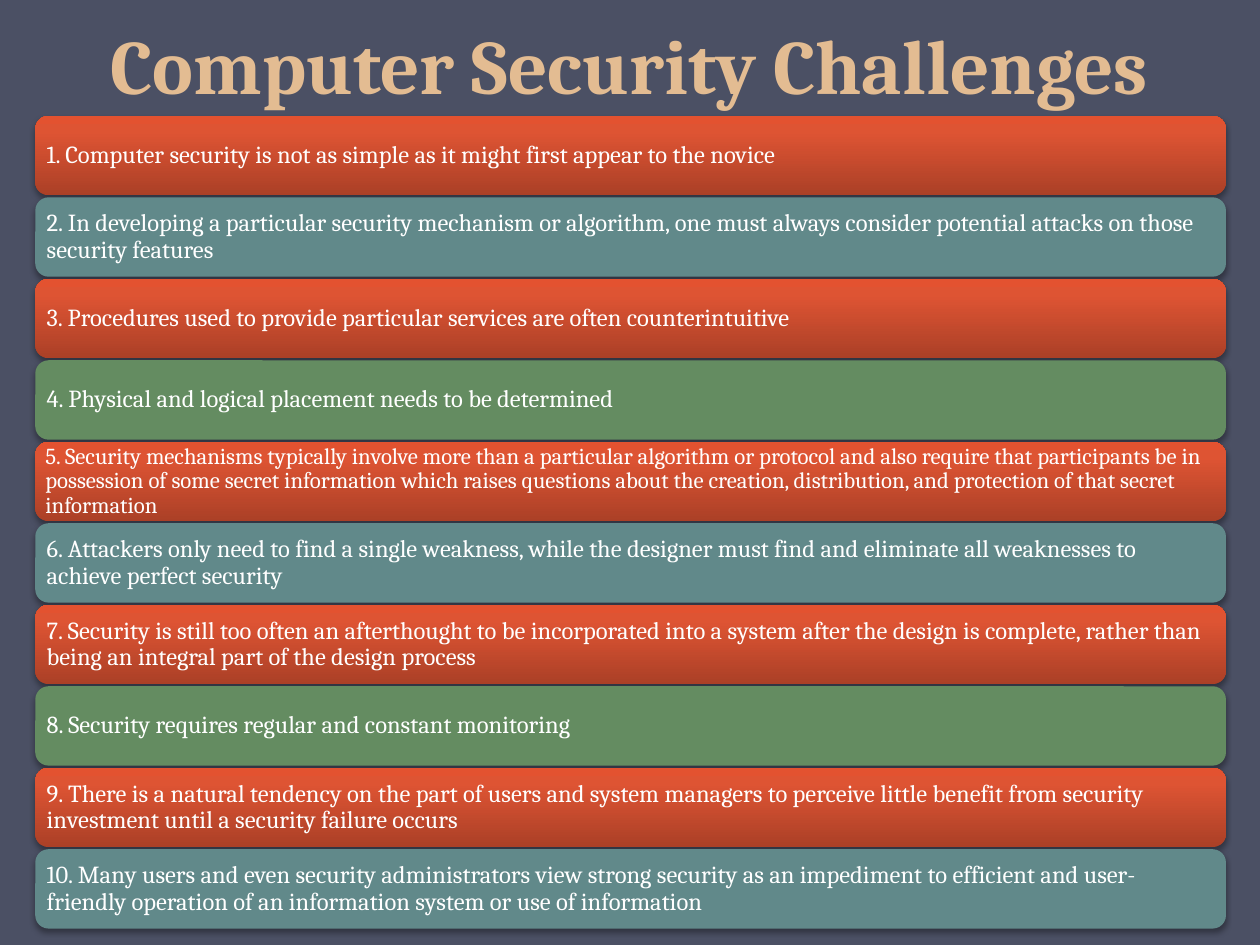
from copy import deepcopy

from lxml.etree import SubElement
from pptx import Presentation
from pptx.dml.color import RGBColor
from pptx.enum.shapes import MSO_SHAPE as SHAPE
from pptx.enum.text import MSO_ANCHOR as ANCHOR, PP_ALIGN as ALIGN
from pptx.oxml.ns import qn
from pptx.util import Inches, Pt

# Content
TITLE = "Computer Security Challenges"
CHALLENGES = [
    "Computer security is not as simple as it might first appear to the novice",
    "In developing a particular security mechanism or algorithm, one must always "
    "consider potential attacks on those security features",
    "Procedures used to provide particular services are often counterintuitive",
    "Physical and logical placement needs to be determined",
    "Security mechanisms typically involve more than a particular algorithm or "
    "protocol and also require that participants be in possession of some secret "
    "information which raises questions about the creation, distribution, and "
    "protection of that secret information",
    "Attackers only need to find a single weakness, while the designer must find "
    "and eliminate all weaknesses to achieve perfect security",
    "Security is still too often an afterthought to be incorporated into a system "
    "after the design is complete, rather than being an integral part of the design "
    "process",
    "Security requires regular and constant monitoring",
    "There is a natural tendency on the part of users and system managers to "
    "perceive little benefit from security investment until a security failure occurs",
    "Many users and even security administrators view strong security as an "
    "impediment to efficient and user-friendly operation of an information system "
    "or use of information",
]

# Style and layout
FONT = "Cambria"
RED_STOPS = [(0, "AB4027"), (0.8, "DE5433"), (1, "E35230")]
TEAL, GREEN = "61898A", "648C61"
BAR_FILLS = [RED_STOPS, TEAL, RED_STOPS, GREEN]
BAR_LEFT, BAR_TOP, BAR_WIDTH, BAR_HEIGHT = 0.28, 0.92, 9.45, 0.63
LAST_BAR_TOP = 6.74
LONG_TEXT = 200


def rgb(value):
    return RGBColor.from_string(value)


def set_margins(frame, inset):
    frame.margin_left = frame.margin_right = Inches(inset)
    frame.margin_top = frame.margin_bottom = Inches(inset)


def style_font(font, size, color, bold=False):
    font.name, font.size, font.bold = FONT, Pt(size), bold
    font.color.rgb = rgb(color)


def add_color(parent, color):
    fill = SubElement(parent, qn("a:solidFill")) if parent.tag == qn("a:ln") else parent
    return SubElement(fill, qn("a:srgbClr"), val=color)


def fill_bar(bar, paint):
    if isinstance(paint, str):
        bar.fill.solid()
        bar.fill.fore_color.rgb = rgb(paint)
        return
    bar.fill.gradient()
    bar.fill.gradient_angle = 90
    stop_list = bar.element.spPr.find(".//" + qn("a:gsLst"))
    stop_list.append(deepcopy(stop_list[0]))  # third stop
    for stop, (position, color) in zip(bar.fill.gradient_stops, paint):
        stop.position = position
        stop.color.rgb = rgb(color)


def add_shadow(bar):
    bar.shadow.inherit = False
    effects = bar.element.spPr.find(qn("a:effectLst"))
    shadow = SubElement(effects, qn("a:outerShdw"), blurRad=str(Pt(3.1)),
                        dist=str(Pt(1.8)), dir="5400000", rotWithShape="0")
    SubElement(add_color(shadow, "000000"), qn("a:alpha"), val="35000")


deck = Presentation()
deck.slide_width, deck.slide_height = Inches(10), Inches(7.5)
page = deck.slides.add_slide(deck.slide_layouts[6])
page.background.fill.solid()
page.background.fill.fore_color.rgb = rgb("4B5064")

# Title with a thin outline
box = page.shapes.add_textbox(Inches(0.5), Inches(0), Inches(9), Inches(0.92))
frame = box.text_frame
frame.word_wrap = True
frame.vertical_anchor = ANCHOR.BOTTOM
para = frame.paragraphs[0]
para.alignment, para.line_spacing = ALIGN.CENTER, Pt(58)
span = para.add_run()
span.text = TITLE
style_font(span.font, 44, "E3BC92", bold=True)
outline = SubElement(span.font.fill._xPr, qn("a:ln"), w=str(Pt(0.83)))
add_color(outline, "CC5A3F")
span.font.fill._xPr.insert(0, outline)

# Numbered bars
pitch = (LAST_BAR_TOP - BAR_TOP) / (len(CHALLENGES) - 1)
for index, challenge in enumerate(CHALLENGES):
    bar = page.shapes.add_shape(
        SHAPE.ROUNDED_RECTANGLE, Inches(BAR_LEFT), Inches(BAR_TOP + index * pitch),
        Inches(BAR_WIDTH), Inches(BAR_HEIGHT))
    fill_bar(bar, BAR_FILLS[index % len(BAR_FILLS)])
    bar.line.fill.background()
    add_shadow(bar)

    is_long = len(challenge) > LONG_TEXT
    frame = bar.text_frame
    frame.word_wrap = True
    frame.vertical_anchor = ANCHOR.MIDDLE
    set_margins(frame, 0.05 if is_long else 0.06)
    para = frame.paragraphs[0]
    para.text = f"{index + 1}. {challenge}"
    para.alignment, para.line_spacing = ALIGN.LEFT, 0.9
    style_font(para.font, 13 if is_long else 14, "FFFFFF")

deck.save("out.pptx")
